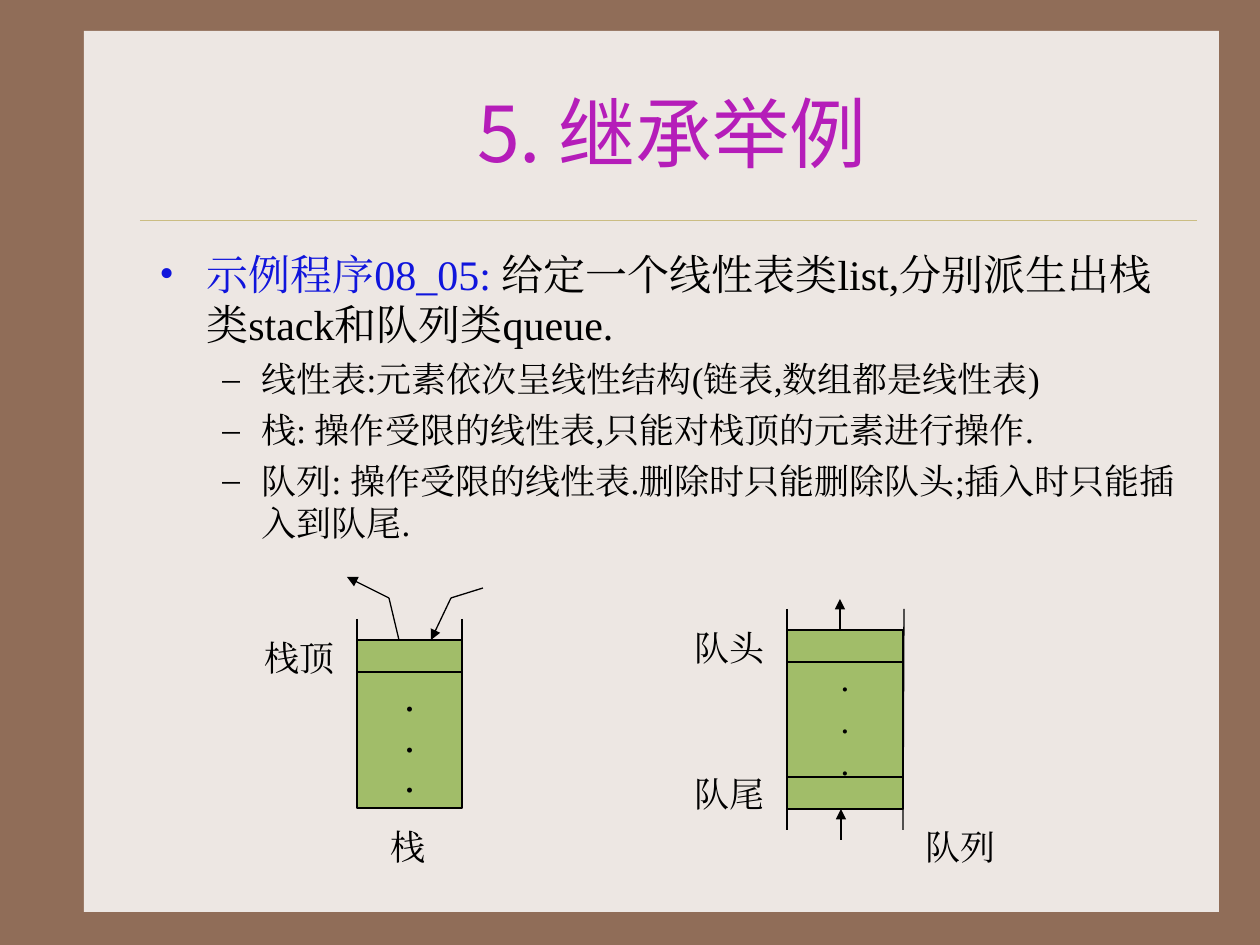
from pptx import Presentation
from pptx.dml.color import RGBColor
from pptx.enum.shapes import MSO_CONNECTOR, MSO_SHAPE
from pptx.enum.text import MSO_ANCHOR, PP_ALIGN
from pptx.oxml.ns import qn
from pptx.util import Pt
from lxml.etree import SubElement

SCALE = 914400 / 126
COLORS = {
    "frame": "906D58", "paper": "EDE7E3", "rule": "CBBD83", "title": "B51DB9",
    "lead": "1015DC", "text": "000000", "cell": "A1BD69",
}
SERIF = "Times New Roman"
SANS = "Noto Sans CJK SC"


def px(n):
    return round(n * SCALE)


def rgb(name):
    return RGBColor.from_string(COLORS[name])


def add_run(p, text, size, color="text", font=SERIF):
    r = p.add_run()
    r.text = text
    r.font.size = Pt(size)
    r.font.name = font
    r.font.color.rgb = rgb(color)
    SubElement(r._r.get_or_add_rPr(), qn("a:ea"), typeface=font)


def add_text(shapes, x, y, w, h, wrap=True):
    tf = shapes.add_textbox(px(x), px(y), px(w), px(h)).text_frame
    tf.word_wrap = wrap
    return tf


def add_label(shapes, x, y, text):
    tf = add_text(shapes, x, y, 48 * len(text), 55, wrap=False)
    add_run(tf.paragraphs[0], text, 20)


def add_rect(shapes, x, y, w, h, fill, line=None):
    sp = shapes.add_shape(MSO_SHAPE.RECTANGLE, px(x), px(y), px(w), px(h))
    sp.shadow.inherit = False
    sp.fill.solid()
    sp.fill.fore_color.rgb = rgb(fill)
    if line:
        sp.line.color.rgb = rgb(line)
        sp.line.width = Pt(0.75)
    else:
        sp.line.fill.background()
    return sp


def add_line(shapes, x1, y1, x2, y2, arrow=False, color="text", width=0.75):
    cn = shapes.add_connector(MSO_CONNECTOR.STRAIGHT, px(x1), px(y1), px(x2), px(y2))
    cn.line.color.rgb = rgb(color)
    cn.line.width = Pt(width)
    if arrow:
        SubElement(cn.line._get_or_add_ln(), qn("a:tailEnd"), type="triangle")
    SubElement(cn._element.spPr, qn("a:effectLst"))


def add_dots(sp, size, spacing=None):
    tf = sp.text_frame
    tf.word_wrap = False
    tf.vertical_anchor = MSO_ANCHOR.MIDDLE
    for i in range(3):
        p = tf.add_paragraph() if i else tf.paragraphs[0]
        p.alignment = PP_ALIGN.CENTER
        p.line_spacing = spacing
        add_run(p, ".", size)


def set_bullet(p, char, color, left, hang, before):
    p.space_before = Pt(before)
    pPr = p._p.get_or_add_pPr()
    pPr.set("marL", str(px(left)))
    pPr.set("indent", str(-px(hang)))
    SubElement(SubElement(pPr, qn("a:buClr")), qn("a:srgbClr"), val=COLORS[color])
    SubElement(pPr, qn("a:buFont"), typeface=SERIF)
    SubElement(pPr, qn("a:buChar"), char=char)


def draw_paper(s, x, y, w, h):
    s.background.fill.solid()
    s.background.fill.fore_color.rgb = rgb("frame")
    add_rect(s.shapes, x, y, w, h, "paper")
    add_line(s.shapes, x + 56, y + 189, x + w - 22, y + 189, color="rule", width=0.25)


def draw_title(s, x, y, w, h):
    tf = add_text(s.shapes, x, y, w, h)
    tf.vertical_anchor = MSO_ANCHOR.MIDDLE
    p = tf.paragraphs[0]
    p.alignment = PP_ALIGN.CENTER
    add_run(p, "5. 继承举例", 44, "title", SANS)


def draw_body(s, x, y, w, h):
    tf = add_text(s.shapes, x, y, w, h)
    p = tf.paragraphs[0]
    set_bullet(p, "•", "lead", 47, 47, 6)
    add_run(p, "示例程序08_05: ", 24, "lead")
    add_run(p, "给定一个线性表类list,分别派生出栈类stack和队列类queue.", 24)
    for text in (
        "线性表:元素依次呈线性结构(链表,数组都是线性表)",
        "栈: 操作受限的线性表,只能对栈顶的元素进行操作.",
        "队列: 操作受限的线性表.删除时只能删除队头;插入时只能插入到队尾.",
    ):
        p = tf.add_paragraph()
        p.level = 1
        set_bullet(p, "–", "text", 102, 39, 5)
        add_run(p, text, 20)


def draw_stack(s, x, y):
    g = s.shapes.add_group_shape().shapes
    left, right, top, bottom = x + 105, x + 210, y + 63, y + 231
    for side in (left, right):
        add_line(g, side, top - 21, side, bottom)
    add_line(g, left, bottom, right, bottom)
    add_rect(g, left, top, 105, 32, "cell", "text")
    add_dots(add_rect(g, left, top + 32, 105, 136, "cell", "text"), 24, 0.8)
    for bend, end, arrow in (
        ((199, 21), (179, 63), True), ((199, 21), (231, 11), False),
        ((137, 21), (95, 0), True), ((137, 21), (147, 63), False),
    ):
        add_line(g, x + bend[0], y + bend[1], x + end[0], y + end[1], arrow)
    add_label(g, x + 126, y + 242, "栈")
    add_label(g, x, y + 53, "栈顶")


def draw_queue(s, x, y):
    g = s.shapes.add_group_shape().shapes
    left, width, top = x + 105, 116, y + 31
    add_line(g, left, y + 10, left, y + 231)
    add_line(g, left + width + 1, y + 10, left + width, y + 231)
    for offset in (0, 147):
        add_rect(g, left, top + offset, width, 32, "cell", "text")
    add_dots(add_rect(g, left, top + 32, width, 115, "cell", "text"), 20)
    add_label(g, x + 231, y + 220, "队列")
    add_label(g, x, y + 167, "队尾")
    add_label(g, x, y + 21, "队头")
    add_line(g, x + 159, y + 241, x + 159, y + 210, True)
    add_line(g, x + 158, top, x + 158, y, True)


def main():
    prs = Presentation()
    prs.slide_width, prs.slide_height = px(1260), px(945)
    s = prs.slides.add_slide(prs.slide_layouts[6])
    draw_paper(s, 84, 31, 1135, 881)
    draw_title(s, 147, 53, 1050, 157)
    draw_body(s, 147, 242, 1050, 325)
    draw_stack(s, 252, 577)
    draw_queue(s, 682, 599)
    prs.save("out.pptx")


if __name__ == "__main__":
    main()
